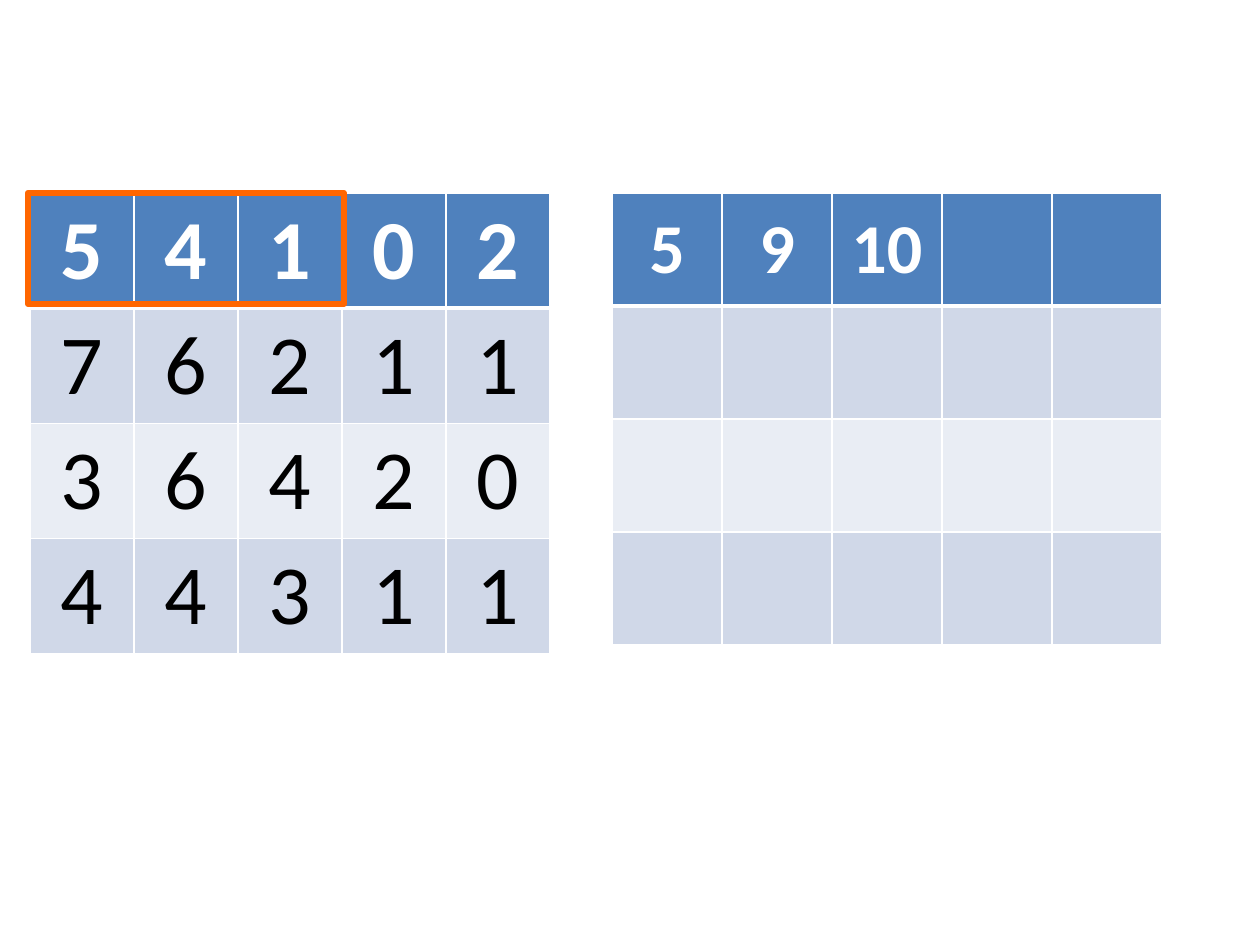
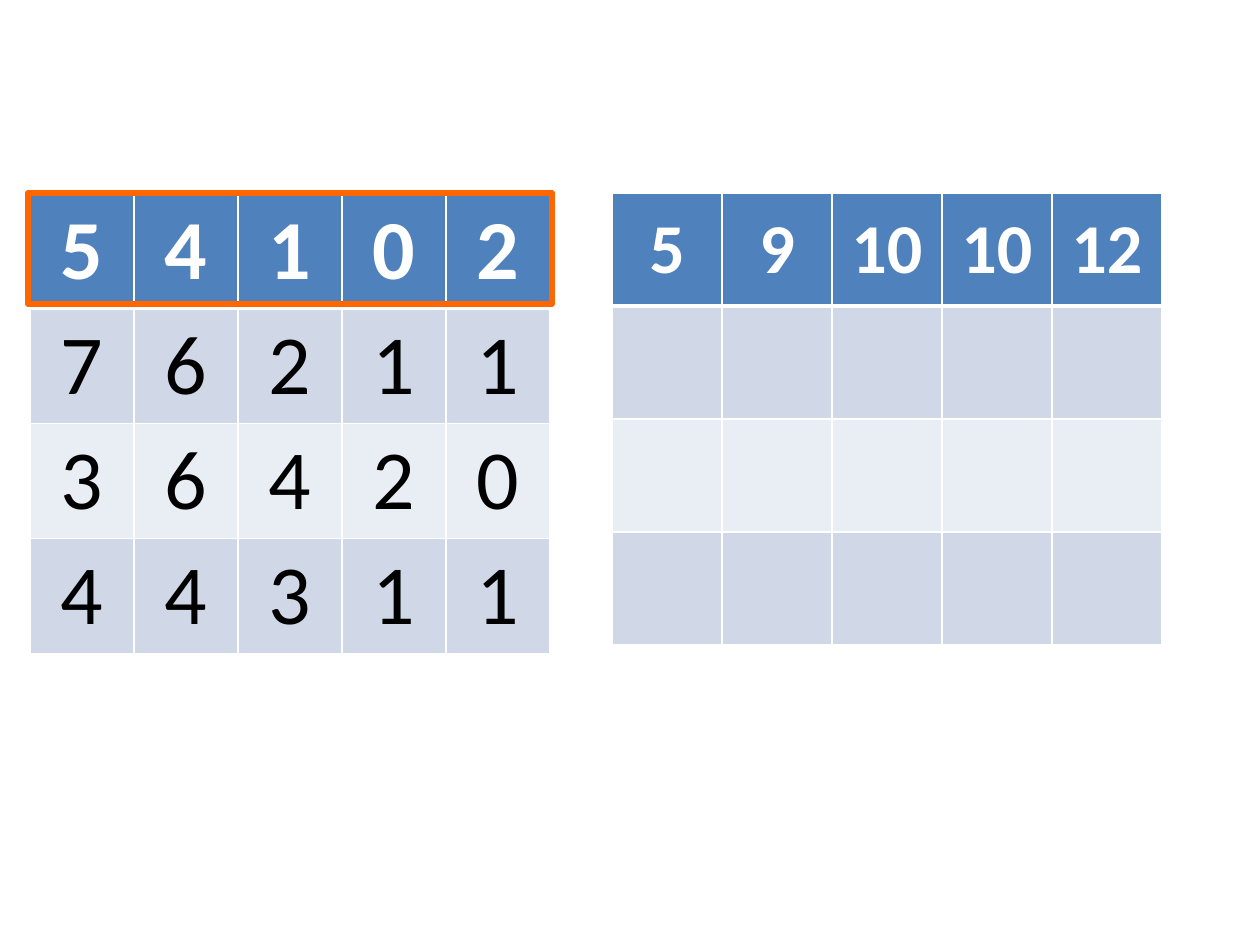
from dataclasses import dataclass
from itertools import accumulate

from lxml.etree import SubElement
from pptx import Presentation
from pptx.dml.color import RGBColor
from pptx.enum.shapes import MSO_SHAPE
from pptx.enum.text import MSO_ANCHOR, PP_ALIGN
from pptx.oxml.ns import qn
from pptx.util import Emu, Pt

PX_PER_INCH = 126


def px(n):
    return Emu(round(n * 914400 / PX_PER_INCH))


@dataclass(frozen=True)
class Theme:
    font: str = "Calibri"
    header: str = "4F81BD"
    bands: tuple = ("D0D8E8", "E9EDF4")
    header_text: str = "FFFFFF"
    body_text: str = "000000"
    border: str = "FFFFFF"
    highlight: str = "FF6600"
    number_size: int = 48
    sum_size: int = 40
    thin: float = 1
    thick: float = 3
    highlight_width: float = 3.5


class Deck:
    def __init__(self, theme):
        self.theme = theme
        self.prs = Presentation()
        self.prs.slide_width, self.prs.slide_height = px(1260), px(945)
        self.s = None

    def add_slide(self):
        self.s = self.prs.slides.add_slide(self.prs.slide_layouts[6])

    def borders(self, cell, row):
        # The rule between header and body is thicker than the rest
        t = self.theme
        tcPr = cell._tc.get_or_add_tcPr()
        for side in ("L", "R", "T", "B"):
            heavy = (side, row) in (("B", 0), ("T", 1))
            ln = SubElement(tcPr, qn(f"a:ln{side}"),
                            w=str(Pt(t.thick if heavy else t.thin)))
            SubElement(SubElement(ln, qn("a:solidFill")), qn("a:srgbClr"), val=t.border)

    def grid(self, left, top, col_width, row_height, rows, size):
        t = self.theme
        n_rows, n_cols = len(rows), len(rows[0])
        table = self.s.shapes.add_table(
            n_rows, n_cols, px(left), px(top),
            px(n_cols * col_width), px(n_rows * row_height)).table
        for column in table.columns:
            column.width = px(col_width)
        for i, values in enumerate(rows):
            table.rows[i].height = px(row_height)
            for j, value in enumerate(values):
                cell = table.cell(i, j)
                self.borders(cell, i)
                cell.fill.solid()
                cell.fill.fore_color.rgb = RGBColor.from_string(
                    t.bands[(i - 1) % 2] if i else t.header)
                cell.vertical_anchor = MSO_ANCHOR.MIDDLE
                if value is not None:
                    self.number(cell, value, size, is_header=i == 0)

    def number(self, cell, value, size, is_header):
        t = self.theme
        p = cell.text_frame.paragraphs[0]
        p.text = str(value)
        p.alignment = PP_ALIGN.CENTER
        p.font.name, p.font.size, p.font.bold = t.font, Pt(size), is_header
        p.font.color.rgb = RGBColor.from_string(
            t.header_text if is_header else t.body_text)

    def frame(self, left, top, width, height):
        sp = self.s.shapes.add_shape(
            MSO_SHAPE.RECTANGLE, px(left), px(top), px(width), px(height))
        sp.shadow.inherit = False
        sp.fill.background()
        sp.line.color.rgb = RGBColor.from_string(self.theme.highlight)
        sp.line.width = Pt(self.theme.highlight_width)


NUMBERS = [
    [5, 4, 1, 0, 2],
    [7, 6, 2, 1, 1],
    [3, 6, 4, 2, 0],
    [4, 4, 3, 1, 1],
]
GRID_TOP, ROW_HEIGHT = 193, 113
NUMBERS_LEFT, NUMBERS_COL = 30, 104
SUMS_LEFT, SUMS_COL = 612, 110
FRAME_PAD = 2


def running_sums(count):
    """First row of running sums up to count; all other cells empty."""
    width = len(NUMBERS[0])
    sums = list(accumulate(NUMBERS[0][:count]))
    empty_rows = [[None] * width for _ in NUMBERS[1:]]
    return [sums + [None] * (width - count)] + empty_rows


def main():
    theme = Theme()
    deck = Deck(theme)
    # Each slide sums the first cells of the top row
    for count in (3, 5):
        deck.add_slide()
        deck.grid(NUMBERS_LEFT, GRID_TOP, NUMBERS_COL, ROW_HEIGHT,
                  NUMBERS, theme.number_size)
        deck.grid(SUMS_LEFT, GRID_TOP, SUMS_COL, ROW_HEIGHT,
                  running_sums(count), theme.sum_size)
        deck.frame(NUMBERS_LEFT - FRAME_PAD, GRID_TOP,
                   count * NUMBERS_COL + 2 * FRAME_PAD, ROW_HEIGHT - FRAME_PAD)
    deck.prs.save("out.pptx")


if __name__ == "__main__":
    main()
